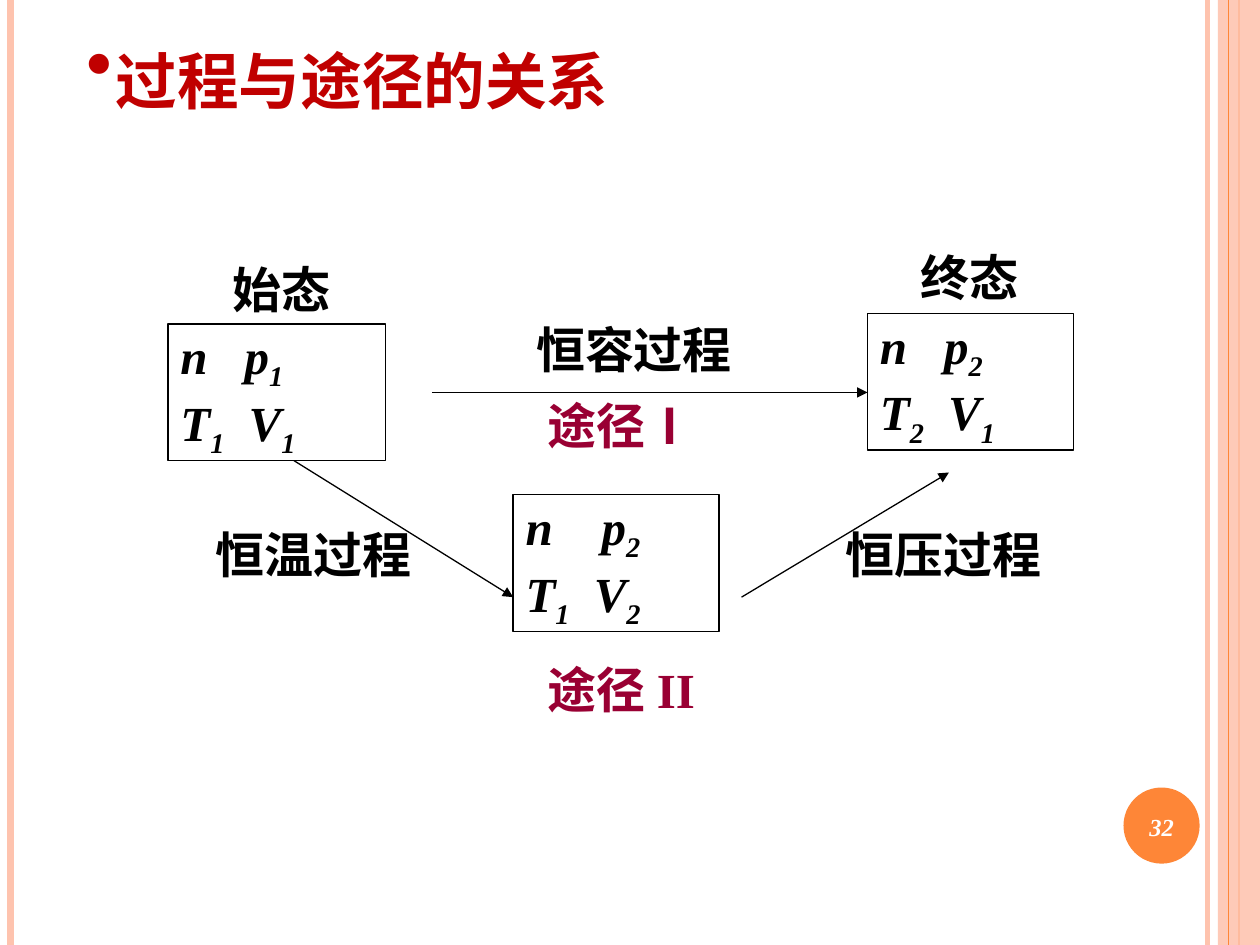
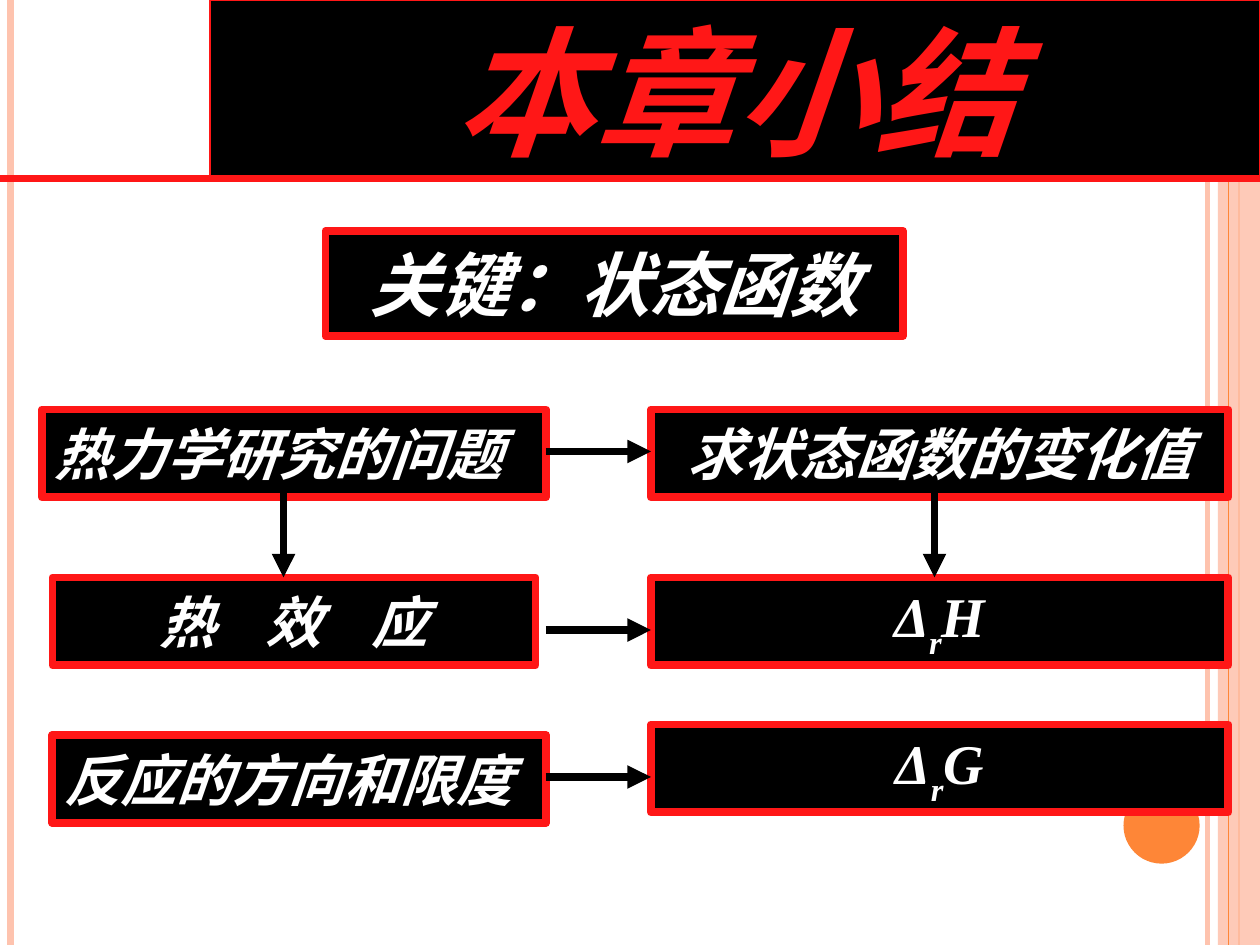
from dataclasses import dataclass

from lxml import etree
from pptx import Presentation
from pptx.dml.color import RGBColor
from pptx.enum.shapes import MSO_CONNECTOR, MSO_SHAPE
from pptx.enum.text import MSO_ANCHOR, MSO_AUTO_SIZE, PP_ALIGN
from pptx.oxml.ns import qn
from pptx.util import Emu, Pt

PX = 9525
WIDTH, HEIGHT = 960, 720
TITLE_ONLY = 5
LEFT, CENTER = PP_ALIGN.LEFT, PP_ALIGN.CENTER
TOP, MIDDLE, BOTTOM = MSO_ANCHOR.TOP, MSO_ANCHOR.MIDDLE, MSO_ANCHOR.BOTTOM
NO_AUTOFIT = MSO_AUTO_SIZE.NONE
STRAIGHT = MSO_CONNECTOR.STRAIGHT
RECTANGLE, OVAL = MSO_SHAPE.RECTANGLE, MSO_SHAPE.OVAL


@dataclass(frozen=True)
class Theme:
    """Colours, fonts and type sizes of the deck."""
    black: str = "000000"
    white: str = "FFFFFF"
    peach: str = "FEC3AE"
    orange: str = "FE8637"
    red: str = "FF1717"
    dark_red: str = "C00000"
    wine: str = "990033"
    serif: str = "Times New Roman"
    heading: str = "TeX Gyre Schola"
    chinese: str = "Noto Sans CJK JP"
    banner_size: int = 80
    title_size: int = 44
    key_size: int = 40
    panel_size: int = 32
    label_size: int = 28
    number_size: int = 14
    thin: float = 0.75
    thick: float = 4.5


def px(length):
    """Turn px into EMU."""
    return Emu(length * PX)


def add_child(parent, tag, **attributes):
    """Append a DrawingML element and return it."""
    return etree.SubElement(parent, qn(tag), {name: str(value) for name, value in attributes.items()})


def set_alpha(fill_owner, percent):
    """Make the solid colour inside an element partly transparent."""
    color = next(fill_owner.iter(qn("a:srgbClr")))
    add_child(color, "a:alpha", val=percent * 1000)


def write(frame, lines, *, size, color, font, chinese, italic=False, align=LEFT,
          anchor=TOP, stops=(), bullet=None, small_caps=False, subscript=-25):
    """Fill a text frame; the character after an underscore is a subscript."""
    frame.word_wrap = True
    frame.auto_size = NO_AUTOFIT
    frame.vertical_anchor = anchor
    for index, line in enumerate(lines.split("\n")):
        paragraph = frame.paragraphs[0] if index == 0 else frame.add_paragraph()
        paragraph.alignment = align
        properties = paragraph._p.get_or_add_pPr()
        if bullet:
            add_child(properties, "a:buChar", char=bullet)
        if stops:
            tabs = add_child(properties, "a:tabLst")
            for stop in stops[index]:
                add_child(tabs, "a:tab", pos=px(stop), algn="l")
        head, *tails = line.split("_")
        pieces = [(head, False)]
        for tail in tails:
            pieces += [(tail[0], True), (tail[1:], False)]
        for text, lowered in pieces:
            if not text:
                continue
            run = paragraph.add_run()
            run.text = text
            run.font.size = Pt(size)
            run.font.bold = True
            run.font.italic = italic
            run.font.name = font
            run.font.color.rgb = RGBColor.from_string(color)
            run_properties = run._r.get_or_add_rPr()
            add_child(run_properties, "a:ea", typeface=chinese)
            if lowered:
                run_properties.set("baseline", str(subscript * 1000))
            if small_caps:
                run_properties.set("cap", "small")


class Deck:
    """Holds the theme and the slide being drawn."""

    def __init__(self, theme):
        """Open an empty presentation."""
        self.theme = theme
        self.presentation = Presentation()
        self.presentation.slide_width = px(WIDTH)
        self.presentation.slide_height = px(HEIGHT)
        self.slide = None

    def new_slide(self):
        """Start a slide with the side bands and the page disc."""
        theme = self.theme
        layout = self.presentation.slide_layouts[TITLE_ONLY]
        self.slide = self.presentation.slides.add_slide(layout)
        self.band(920, theme.peach, 3)
        self.band(8, theme.peach, theme.thick)
        self.band(944, theme.orange, 1.5)
        strip = self.shape((928, 0, 32, HEIGHT), fill=theme.peach)
        set_alpha(strip._element.spPr, 87)
        self.band(936, theme.orange, theme.thin)
        self.shape((856, 600, 58, 58), OVAL, fill=theme.orange)

    def band(self, x, color, weight):
        """Draw a full-height vertical line."""
        self.line((x, 0), (x, HEIGHT), color=color, weight=weight)

    def paint(self, shape, fill=None, line=None, weight=0.75):
        """Set the fill and outline of a shape."""
        if fill:
            shape.fill.solid()
            shape.fill.fore_color.rgb = RGBColor.from_string(fill)
        else:
            shape.fill.background()
        if line:
            shape.line.color.rgb = RGBColor.from_string(line)
            shape.line.width = Pt(weight)
        else:
            shape.line.fill.background()

    def shape(self, box, kind=RECTANGLE, **paint):
        """Draw a preset shape without shadow."""
        shape = self.slide.shapes.add_shape(kind, *map(px, box))
        shape.shadow.inherit = False
        self.paint(shape, **paint)
        return shape

    def line(self, start, end, color=None, weight=0.75, arrow=False):
        """Draw a straight line or arrow."""
        connector = self.slide.shapes.add_connector(STRAIGHT, *map(px, start + end))
        connector.line.color.rgb = RGBColor.from_string(color or self.theme.black)
        connector.line.width = Pt(weight)
        if arrow:
            add_child(connector.line._get_or_add_ln(), "a:tailEnd", type="triangle")
        add_child(connector._element.spPr, "a:effectLst")

    def text(self, frame, lines, **style):
        """Write with the deck's fonts."""
        write(frame, lines, **{"font": self.theme.serif, "chinese": self.theme.chinese, **style})

    def title(self, text, box, paint=None, **style):
        """Place the title placeholder in front of the bands."""
        title = self.slide.shapes.title
        title._element.getparent().append(title._element)
        title.left, title.top, title.width, title.height = map(px, box)
        self.paint(title, **(paint or {}))
        self.text(title.text_frame, text, **style)

    def label(self, text, box, **style):
        """Add a text box."""
        label = self.slide.shapes.add_textbox(*map(px, box))
        style = {"size": self.theme.label_size, "color": self.theme.black, **style}
        self.text(label.text_frame, text, **style)

    def state(self, text, box, stops):
        """Add an outlined box of state variables."""
        state = self.shape(box, line=self.theme.black)
        self.text(state.text_frame, text, size=self.theme.label_size, color=self.theme.black,
                  italic=True, anchor=MIDDLE, stops=stops)

    def panel(self, text, box, **style):
        """Add a black panel with a red frame."""
        theme = self.theme
        panel = self.shape(box, fill=theme.black, line=theme.red, weight=theme.thick)
        style = {"size": theme.panel_size, "align": CENTER, **style}
        self.text(panel.text_frame, text, color=theme.white, italic=True,
                  anchor=MIDDLE, subscript=-30, **style)


def build_process_slide(deck):
    """Compare two routes between the same states."""
    theme = deck.theme
    deck.new_slide()
    deck.title("过程与途径的关系", (56, 32, 816, 64), size=theme.title_size,
               color=theme.dark_red, font=theme.heading, anchor=BOTTOM,
               bullet="•", small_caps=True)

    deck.state("n\tp_2\nT_2\tV_1", (661, 239, 157, 104), ((49,), (52,)))
    deck.state("n\tp_2\nT_1\tV_2", (391, 377, 157, 104), ((58,), (52,)))
    deck.state("n\tp_1\nT_1\tV_1", (128, 247, 166, 104), ((49,), (52,)))

    for start, end in (((329, 299), (661, 299)), ((224, 351), (391, 455)),
                       ((565, 455), (723, 360))):
        deck.line(start, end, arrow=True)

    for text, left, top, width, color in (
            ("恒容过程", 399, 239, 190, theme.black),
            ("途径 II", 408, 498, 155, theme.wine),
            ("始态", 168, 193, 131, theme.black),
            ("终态", 692, 184, 134, theme.black),
            ("恒温过程", 155, 395, 202, theme.black),
            ("恒压过程", 635, 395, 216, theme.black),
            ("途径Ⅰ", 408, 297, 163, theme.wine)):
        deck.label(text, (left, top, width, 60), color=color)
    deck.label("32", (853, 602, 64, 55), size=theme.number_size, color=theme.white,
               italic=True, align=CENTER, anchor=MIDDLE)


def build_summary_slide(deck):
    """Sum up the chapter as a flow of panels."""
    theme = deck.theme
    deck.new_slide()
    deck.title("本章小结", (160, 0, 800, 136), {"fill": theme.black, "line": theme.red},
               size=theme.banner_size, color=theme.red, font=theme.chinese,
               italic=True, align=CENTER, anchor=MIDDLE)
    deck.line((0, 136), (WIDTH, 136), color=theme.red, weight=theme.thick)

    deck.panel("关键：状态函数", (248, 176, 440, 80), size=theme.key_size)
    deck.panel("热力学研究的问题", (32, 312, 384, 67), align=LEFT)
    deck.panel("\t热\t效\t应", (40, 440, 368, 67), align=LEFT, stops=((72, 153, 234),))
    deck.panel("反应的方向和限度", (40, 560, 376, 67), align=LEFT)
    for text, top in (("求状态函数的变化值", 312), ("Δ_rH", 440), ("Δ_rG", 552)):
        deck.panel(text, (496, top, 440, 67))

    for x in (216, 712):
        deck.line((x, 376), (x, 440), weight=theme.thick, arrow=True)
    for y in (344, 480, 592):
        deck.line((416, y), (496, y), weight=theme.thick, arrow=True)


def main():
    """Build and save the deck."""
    deck = Deck(Theme())
    build_process_slide(deck)
    build_summary_slide(deck)
    deck.presentation.save("out.pptx")


if __name__ == "__main__":
    main()
